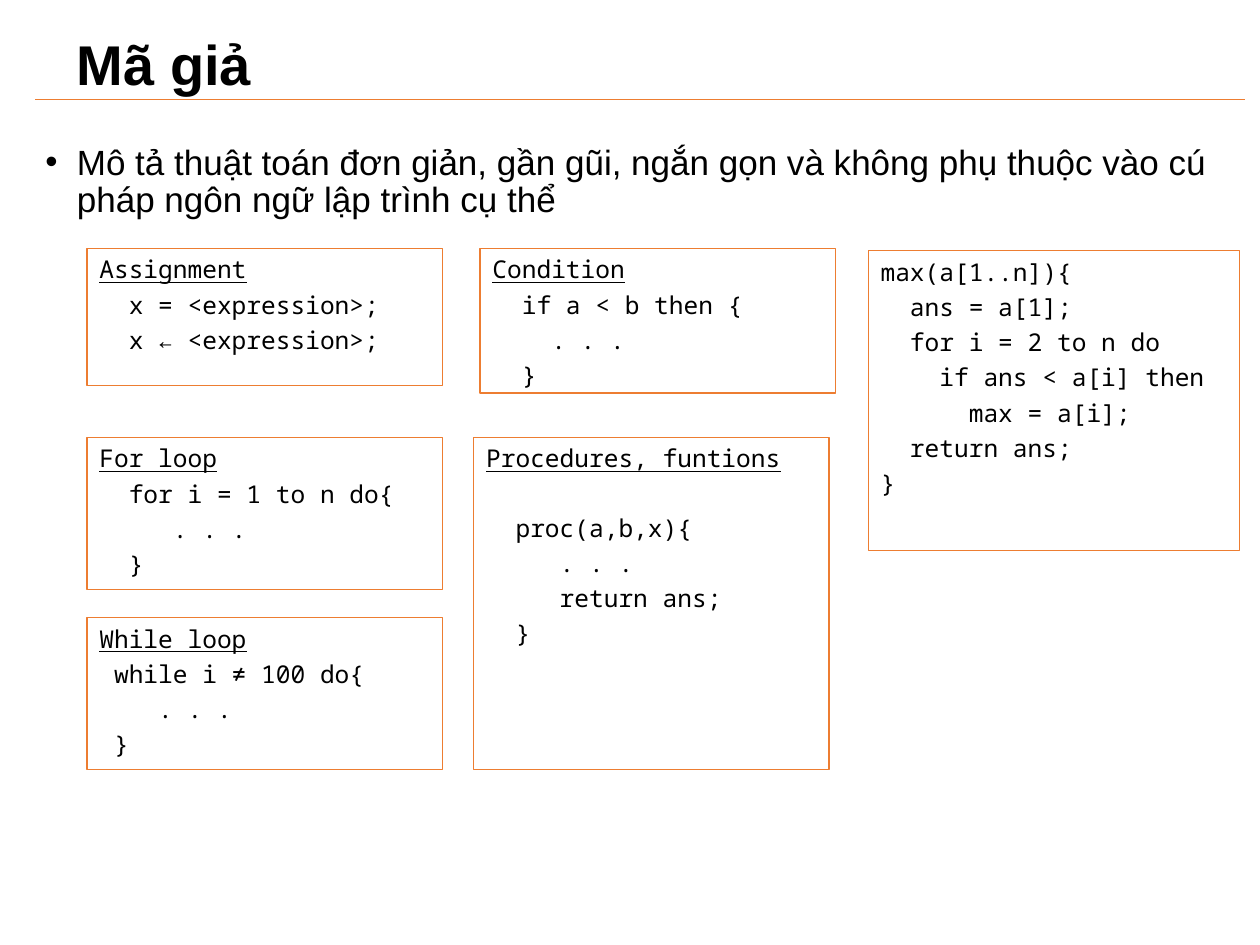
from lxml.etree import SubElement
from pptx import Presentation
from pptx.dml.color import RGBColor
from pptx.enum.shapes import MSO_CONNECTOR as Connector, MSO_SHAPE as Shape
from pptx.enum.text import MSO_ANCHOR as Anchor, MSO_AUTO_SIZE as AutoSize, PP_ALIGN as Align
from pptx.oxml.ns import qn
from pptx.util import Inches, Pt

BLACK = RGBColor(0x00, 0x00, 0x00)
ORANGE = RGBColor(0xED, 0x7D, 0x31)

LEFT, MIDDLE, RIGHT = 0.69, 3.76, 6.89
UPPER, CENTRE, LOWER = 1.97, 3.47, 4.9
BOX_WIDTH, LOOP_HEIGHT = 2.82, 1.21
LINE_GAP, LINE_PITCH = 3.3, 19.6

SNIPPETS = [
    ("", ["max(a[1..n]){", "  ans = a[1];", "  for i = 2 to n do",
          "    if ans < a[i] then", "      max = a[i];", "  return ans;", "}"],
     (RIGHT, UPPER + 0.02, 2.95, 2.38)),
    ("Procedures, funtions",
     ["", "  proc(a,b,x){", "     . . .", "     return ans;", "  }"],
     (MIDDLE, CENTRE, BOX_WIDTH, LOWER + LOOP_HEIGHT - CENTRE)),
    ("For loop", ["  for i = 1 to n do{", "     . . .", "  }"],
     (LEFT, CENTRE, BOX_WIDTH, LOOP_HEIGHT)),
    ("Condition", ["  if a < b then {", "    . . .", "  }"],
     (MIDDLE + 0.05, UPPER, BOX_WIDTH, 1.15)),
    ("While loop", [" while i ≠ 100 do{", "    . . .", " }"],
     (LEFT, LOWER, BOX_WIDTH, LOOP_HEIGHT)),
    ("Assignment", ["  x = <expression>;", "  x ← <expression>;"],
     (LEFT, UPPER, BOX_WIDTH, 1.09)),
]


def style(paragraph, face, size, bold=False, underline=False):
    for run in paragraph.runs:
        run.font.name = face
        run.font.size = Pt(size)
        run.font.bold = bold
        run.font.underline = underline
        run.font.color.rgb = BLACK


def fill_placeholder(placeholder, words, area, size, anchor, bold=False):
    placeholder.left, placeholder.top, placeholder.width, placeholder.height = map(Inches, area)
    frame = placeholder.text_frame
    frame.text = words
    frame.auto_size = AutoSize.NONE
    frame.vertical_anchor = anchor
    paragraph = frame.paragraphs[0]
    paragraph.alignment = Align.LEFT
    paragraph.line_spacing = 0.9
    paragraph.space_before = Pt(0)
    style(paragraph, "Arial", size, bold)
    return paragraph


def add_bullet(paragraph):
    properties = paragraph._p.get_or_add_pPr()
    properties.set("marL", str(Inches(0.25)))
    properties.set("indent", str(-Inches(0.25)))
    SubElement(properties, qn("a:buFont"), typeface="Arial")
    SubElement(properties, qn("a:buChar"), char="•")


def add_snippet(slide, heading, code, area):
    box = slide.shapes.add_shape(Shape.RECTANGLE, *map(Inches, area))
    box.shadow.inherit = False
    box.fill.background()
    box.line.color.rgb = ORANGE
    box.line.width = Pt(0.75)
    frame = box.text_frame
    frame.word_wrap = True
    frame.vertical_anchor = Anchor.TOP
    paragraph, gap = frame.paragraphs[0], 0
    for line in ([heading] if heading else []) + code:
        if not line:
            gap += LINE_PITCH
            continue
        if paragraph.text:
            paragraph = frame.add_paragraph()
        paragraph.text = line
        paragraph.alignment = Align.LEFT
        paragraph.space_before = Pt(gap)
        style(paragraph, "Noto Sans Mono", 14, underline=line == heading)
        gap = LINE_GAP


def add_rule(slide, left, right, height):
    rule = slide.shapes.add_connector(
        Connector.STRAIGHT, *map(Inches, (left, height, right, height)))
    rule.line.color.rgb = ORANGE
    rule.line.width = Pt(0.5)
    SubElement(rule._element.spPr, qn("a:effectLst"))


def main():
    deck = Presentation()
    deck.slide_width, deck.slide_height = Inches(10), Inches(7.5)
    slide = deck.slides.add_slide(deck.slide_layouts[1])
    fill_placeholder(slide.shapes.title, "Mã giả", (0.51, 0.13, 8.8, 0.81),
                     32, Anchor.MIDDLE, bold=True)
    description = fill_placeholder(
        slide.placeholders[1],
        "Mô tả thuật toán đơn giản, gần gũi, ngắn gọn và không phụ thuộc vào cú pháp "
        "ngôn ngữ lập trình cụ thể",
        (0.26, 1.1, 9.5, 5.66), 20, Anchor.TOP)
    add_bullet(description)
    for heading, code, area in SNIPPETS:
        add_snippet(slide, heading, code, area)
    add_rule(slide, 0.28, 9.88, 0.79)
    deck.save("out.pptx")


if __name__ == "__main__":
    main()
